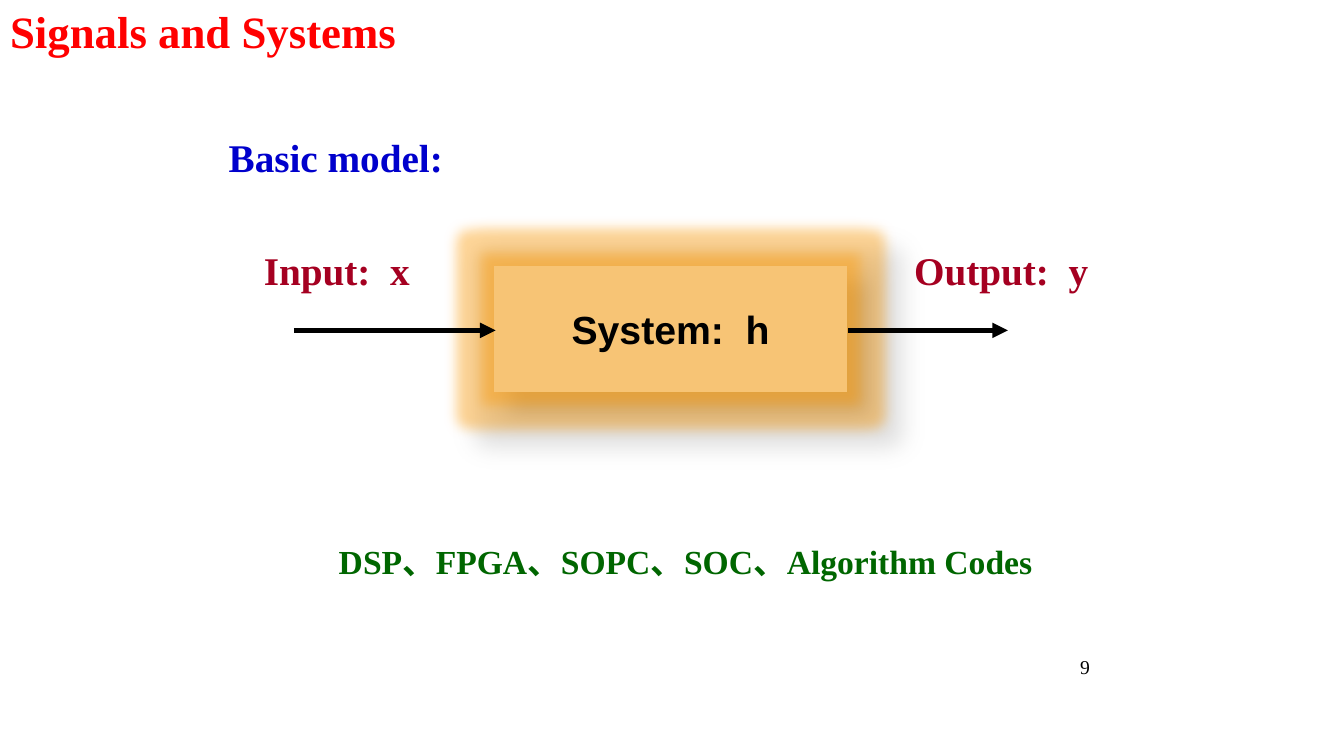
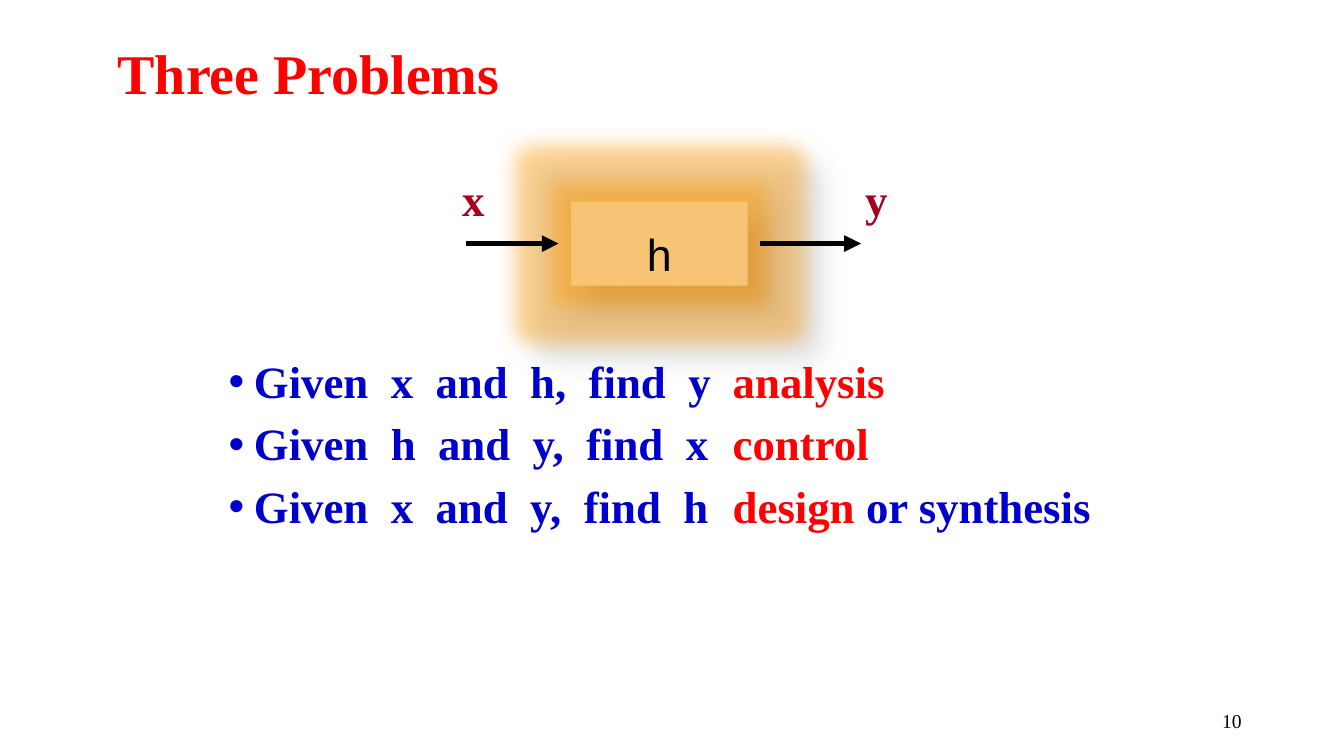
from dataclasses import dataclass

from lxml import etree
from pptx import Presentation
from pptx.dml.color import RGBColor
from pptx.enum.shapes import MSO_CONNECTOR, MSO_SHAPE
from pptx.enum.text import MSO_ANCHOR, MSO_AUTO_SIZE, PP_ALIGN
from pptx.oxml.ns import qn
from pptx.util import Pt

LEFT, CENTER, RIGHT = PP_ALIGN.LEFT, PP_ALIGN.CENTER, PP_ALIGN.RIGHT
TOP, MIDDLE = MSO_ANCHOR.TOP, MSO_ANCHOR.MIDDLE
NO_FIT = MSO_AUTO_SIZE.NONE
RECTANGLE, STRAIGHT = MSO_SHAPE.RECTANGLE, MSO_CONNECTOR.STRAIGHT
TITLE_ONLY = 5


@dataclass(frozen=True)
class Theme:
    serif: str = "Times New Roman"
    sans: str = "Arial"
    # Colours
    red: str = "FF0000"
    blue: str = "0000CC"
    signal: str = "A50021"
    green: str = "006600"
    black: str = "000000"
    system: str = "F7C475"
    glow: str = "FF9900"
    # Type sizes
    heading: int = 40
    large: int = 32
    medium: int = 28
    small: int = 24
    page: int = 14


THEME = Theme()


def add_xml(parent, tag, **attributes):
    """Append a DrawingML child and return it."""
    child = etree.SubElement(parent, qn(tag))
    for key, value in attributes.items():
        child.set(key, str(value))
    return child


def add_colour(parent, colour, opacity):
    """Append a colour with an opacity in percent."""
    add_xml(add_xml(parent, "a:srgbClr", val=colour), "a:alpha", val=opacity * 1000)


class Deck:
    """Holds the style and the slide being built."""

    def __init__(self, theme):
        self.theme = theme
        self.prs = Presentation()
        self.prs.slide_width, self.prs.slide_height = Pt(960), Pt(540)
        self.slide = None

    def format_frame(self, frame, anchor=MIDDLE, wrap=True):
        settings = dict(margin_left=0, margin_right=0, margin_top=0, margin_bottom=0,
                        auto_size=NO_FIT, vertical_anchor=anchor, word_wrap=wrap)
        for name, value in settings.items():
            setattr(frame, name, value)

    def add_run(self, paragraph, text, size, colour, bold=True, font=None):
        run = paragraph.add_run()
        run.text = text
        settings = dict(name=font or self.theme.serif, size=Pt(size), bold=bold)
        for name, value in settings.items():
            setattr(run.font, name, value)
        run.font.color.rgb = RGBColor.from_string(colour)

    def add_slide(self, title, left, middle, size):
        """Start a slide; the title is centred on the height `middle`."""
        self.slide = self.prs.slides.add_slide(self.prs.slide_layouts[TITLE_ONLY])
        placeholder = self.slide.shapes.title
        box = dict(left=left, top=middle - 23, width=600, height=46)
        for name, value in box.items():
            setattr(placeholder, name, Pt(value))
        self.format_frame(placeholder.text_frame)
        paragraph = placeholder.text_frame.paragraphs[0]
        paragraph.alignment = LEFT
        self.add_run(paragraph, title, size, self.theme.red)

    def add_frame(self, left, top, width, height, anchor=MIDDLE):
        box = self.slide.shapes.add_textbox(Pt(left), Pt(top), Pt(width), Pt(height))
        self.format_frame(box.text_frame, anchor)
        return box.text_frame

    def add_label(self, text, left, middle, size, colour, width=200):
        """One line of bold text, centred on the height `middle`."""
        frame = self.add_frame(left, middle - 20, width, 40)
        self.add_run(frame.paragraphs[0], text, size, colour)

    def add_note(self, text, left, top, width, height, size, colour):
        frame = self.add_frame(left, top, width, height, TOP)
        self.add_run(frame.paragraphs[0], text, size, colour)

    def add_page_number(self, number, right, middle):
        frame = self.add_frame(right - 140, middle - 15, 140, 30)
        frame.paragraphs[0].alignment = RIGHT
        self.add_run(frame.paragraphs[0], str(number), self.theme.page,
                     self.theme.black, bold=False)

    def add_system(self, text, left, top, width, height, glow, size, bold, drop=0):
        """A glowing block; `drop` lowers its text below the middle."""
        block = self.slide.shapes.add_shape(RECTANGLE, Pt(left), Pt(top), Pt(width), Pt(height))
        block.fill.solid()
        block.fill.fore_color.rgb = RGBColor.from_string(self.theme.system)
        block.line.fill.background()
        block.shadow.inherit = False
        effects = block._element.spPr.find(qn("a:effectLst"))
        add_colour(add_xml(effects, "a:glow", rad=Pt(glow)), self.theme.glow, 40)
        shadow = add_xml(effects, "a:outerShdw", blurRad=Pt(15), dist=Pt(18),
                         dir=45 * 60000, algn="tl", rotWithShape=0)
        add_colour(shadow, self.theme.black, 30)
        frame = block.text_frame
        self.format_frame(frame, wrap=False)
        frame.margin_top = Pt(2 * drop)
        frame.paragraphs[0].alignment = CENTER
        self.add_run(frame.paragraphs[0], text, size, self.theme.black, bold, self.theme.sans)

    def add_arrow(self, start, end, y, weight):
        arrow = self.slide.shapes.add_connector(STRAIGHT, Pt(start), Pt(y), Pt(end), Pt(y))
        arrow.line.color.rgb = RGBColor.from_string(self.theme.black)
        arrow.line.width = Pt(weight)
        add_xml(arrow.line._get_or_add_ln(), "a:tailEnd", type="triangle")
        add_xml(arrow._element.spPr, "a:effectLst")

    def add_bullets(self, items, left, top, width, height):
        """Each item is a list of (text, colour) runs."""
        frame = self.add_frame(left, top, width, height, TOP)
        for index, runs in enumerate(items):
            paragraph = frame.add_paragraph() if index else frame.paragraphs[0]
            paragraph.line_spacing = 0.9
            paragraph.space_before = Pt(10 if index else 0)
            properties = paragraph._p.get_or_add_pPr()
            properties.set("marL", str(Pt(18)))
            properties.set("indent", str(Pt(-18)))
            add_xml(properties, "a:buFont", typeface=self.theme.sans)
            add_xml(properties, "a:buChar", char="•")
            for text, colour in runs:
                self.add_run(paragraph, text, self.theme.large, colour)


def build_basic_model(deck):
    theme = deck.theme
    deck.add_slide("Signals and Systems", 7.2, 21.5, theme.large)
    deck.add_label("Basic model:", 163.4, 112, theme.medium, theme.blue)

    # Input, system and output
    deck.add_system("System:  h", 353, 190, 252, 90, 18, theme.medium, True)
    for text, left in (("Input:  x", 188.5), ("Output:  y", 653)):
        deck.add_label(text, left, 192.5, theme.medium, theme.signal)
    for start, end in ((210, 354), (606, 720)):
        deck.add_arrow(start, end, 236, 3.75)

    # Ways to realise the system
    deck.add_note("DSP、FPGA、SOPC、SOC、Algorithm Codes", 242, 386, 501, 62,
                  theme.small, theme.green)
    deck.add_page_number(9, 778.5, 476.5)


def build_three_problems(deck):
    theme = deck.theme
    deck.add_slide("Three Problems", 84, 51.5, theme.heading)

    # Signal flow
    deck.add_system("h", 408, 144, 126, 60, 27, theme.large, False, drop=7)
    for text, left in (("x", 330), ("y", 618)):
        deck.add_label(text, left, 142, theme.large, theme.signal, width=40)
    for start, end in ((333, 399), (543, 615)):
        deck.add_arrow(start, end, 174, 4)

    # The problems and their names
    problems = [
        [("Given  x  and  h,  find  y\t", theme.blue), ("analysis", theme.red)],
        [("Given  h  and  y,  find  x\t", theme.blue), ("control", theme.red)],
        [("Given  x  and  y,  find  h\t", theme.blue), ("design ", theme.red),
         ("or synthesis", theme.blue)],
    ]
    deck.add_bullets(problems, 163.4, 257, 634, 257)
    deck.add_page_number(10, 887, 515)


def main():
    deck = Deck(THEME)
    build_basic_model(deck)
    build_three_problems(deck)
    deck.prs.save("out.pptx")


if __name__ == "__main__":
    main()
